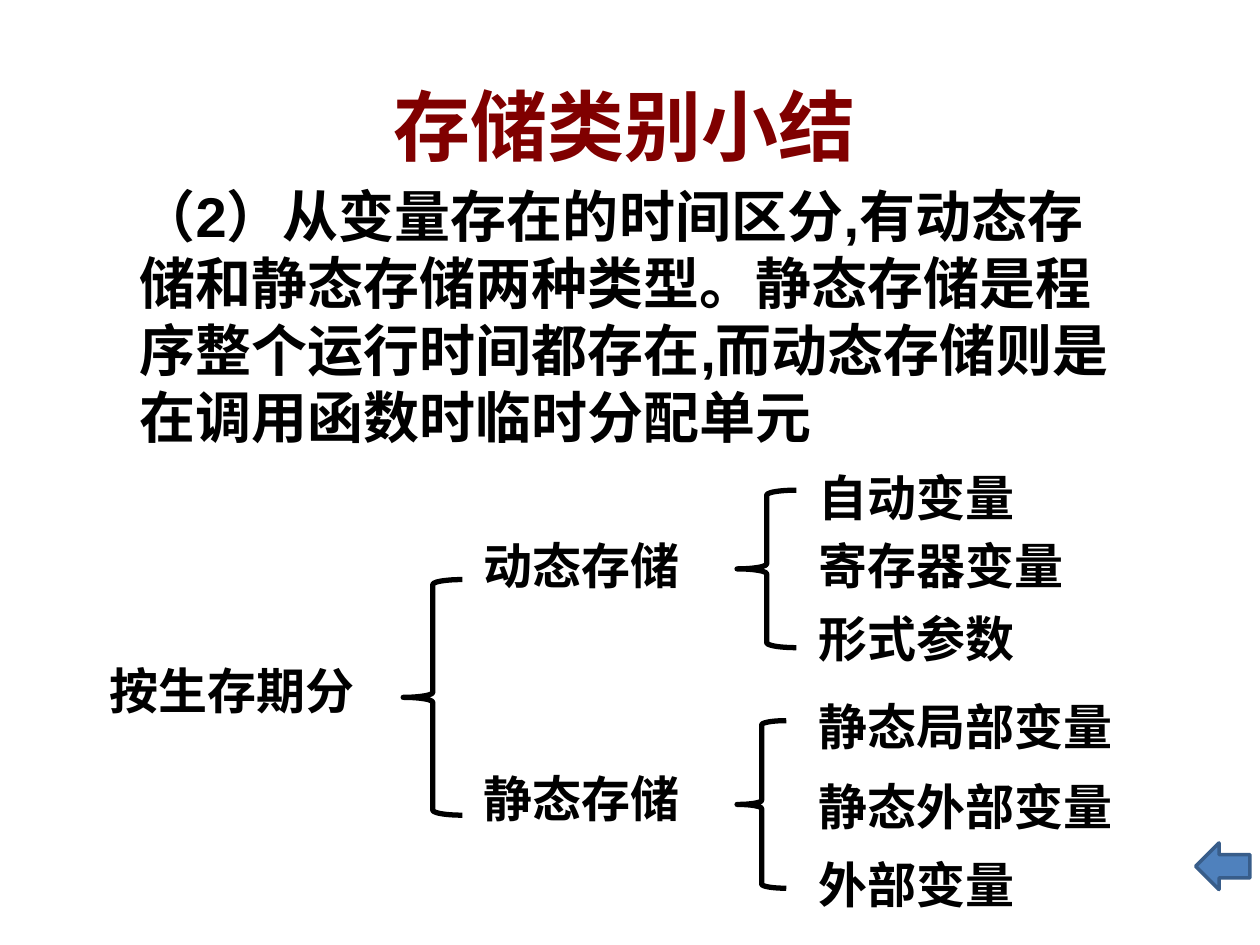
from pptx import Presentation
from pptx.dml.color import RGBColor
from pptx.enum.shapes import MSO_SHAPE
from pptx.enum.text import MSO_ANCHOR, PP_ALIGN
from pptx.util import Inches, Pt

BLACK = RGBColor(0x00, 0x00, 0x00)
WHITE = RGBColor(0xFF, 0xFF, 0xFF)
MAROON = RGBColor(0x80, 0x00, 0x00)
BLUE = RGBColor(0x4F, 0x81, 0xBD)
DARK_BLUE = RGBColor(0x38, 0x5D, 0x8A)
LEFT_BRACE = MSO_SHAPE.LEFT_BRACE
LEFT_ARROW = MSO_SHAPE.LEFT_ARROW
TOP = MSO_ANCHOR.TOP
MIDDLE = MSO_ANCHOR.MIDDLE
LEFT = PP_ALIGN.LEFT
CENTER = PP_ALIGN.CENTER

LABEL_HEIGHT = 0.57
ITEM_LEFT = 6.4
TITLE = "存储类别小结"
EXPLANATION = (
    "（2）从变量存在的时间区分,有动态存储和静态存储两种类型。"
    "静态存储是程序整个运行时间都存在,而动态存储则是在调用函数时临时分配单元"
)
BRANCHES = [
    ("动态存储", (3.74, 4.2, 1.95, LABEL_HEIGHT), (5.85, 3.89, 0.47, 1.25),
     [("自动变量", 3.66, 1.95), ("寄存器变量", 4.2, 2.66), ("形式参数", 4.78, 2.19)]),
    ("静态存储", (3.74, 6.05, 1.95, LABEL_HEIGHT), (5.85, 5.72, 0.39, 1.33),
     [("静态局部变量", 5.48, 2.66), ("静态外部变量", 6.11, 2.66), ("外部变量", 6.73, 2.66)]),
]


def add_text(slide, box, text, size=28, color=BLACK, alignment=LEFT, anchor=TOP):
    shape = slide.shapes.add_textbox(*map(Inches, box))
    frame = shape.text_frame
    frame.word_wrap = True
    frame.vertical_anchor = anchor
    paragraph = frame.paragraphs[0]
    paragraph.alignment = alignment
    run = paragraph.add_run()
    run.text = text
    formats = {"name": "Arial", "size": Pt(size), "bold": True}
    for name, value in formats.items():
        setattr(run.font, name, value)
    run.font.color.rgb = color
    return shape


def add_outlined_shape(slide, kind, box, fill, line, width):
    shape = slide.shapes.add_shape(kind, *map(Inches, box))
    shape.shadow.inherit = False
    shape.fill.solid()
    shape.fill.fore_color.rgb = fill
    shape.line.color.rgb = line
    shape.line.width = Pt(width)


def add_title(slide, box):
    shape = add_text(slide, box, TITLE, 44, MAROON, CENTER, MIDDLE)
    shape.fill.solid()
    shape.fill.fore_color.rgb = WHITE


def add_root(slide, label_box, brace_box):
    add_text(slide, label_box, "按生存期分")
    add_outlined_shape(slide, LEFT_BRACE, brace_box, WHITE, BLACK, 3)


def add_branch(slide, label, label_box, brace_box, items):
    add_text(slide, label_box, label)
    add_outlined_shape(slide, LEFT_BRACE, brace_box, WHITE, BLACK, 3)
    for text, top, width in items:
        add_text(slide, (ITEM_LEFT, top, width, LABEL_HEIGHT), text)


def main():
    presentation = Presentation()
    presentation.slide_width = Inches(10)
    presentation.slide_height = Inches(7.5)
    slide = presentation.slides.add_slide(presentation.slide_layouts[6])
    add_title(slide, (0.46, 0.52, 9, 0.94))
    add_outlined_shape(slide, LEFT_ARROW, (9.49, 6.69, 0.43, 0.37), BLUE, DARK_BLUE, 2)
    add_text(slide, (1.01, 1.39, 8.05, 2.24), EXPLANATION, 32)
    add_root(slide, (0.77, 5.19, 2.42, LABEL_HEIGHT), (3.2, 4.6, 0.47, 1.87))
    for branch in BRANCHES:
        add_branch(slide, *branch)
    presentation.save("out.pptx")


if __name__ == "__main__":
    main()
